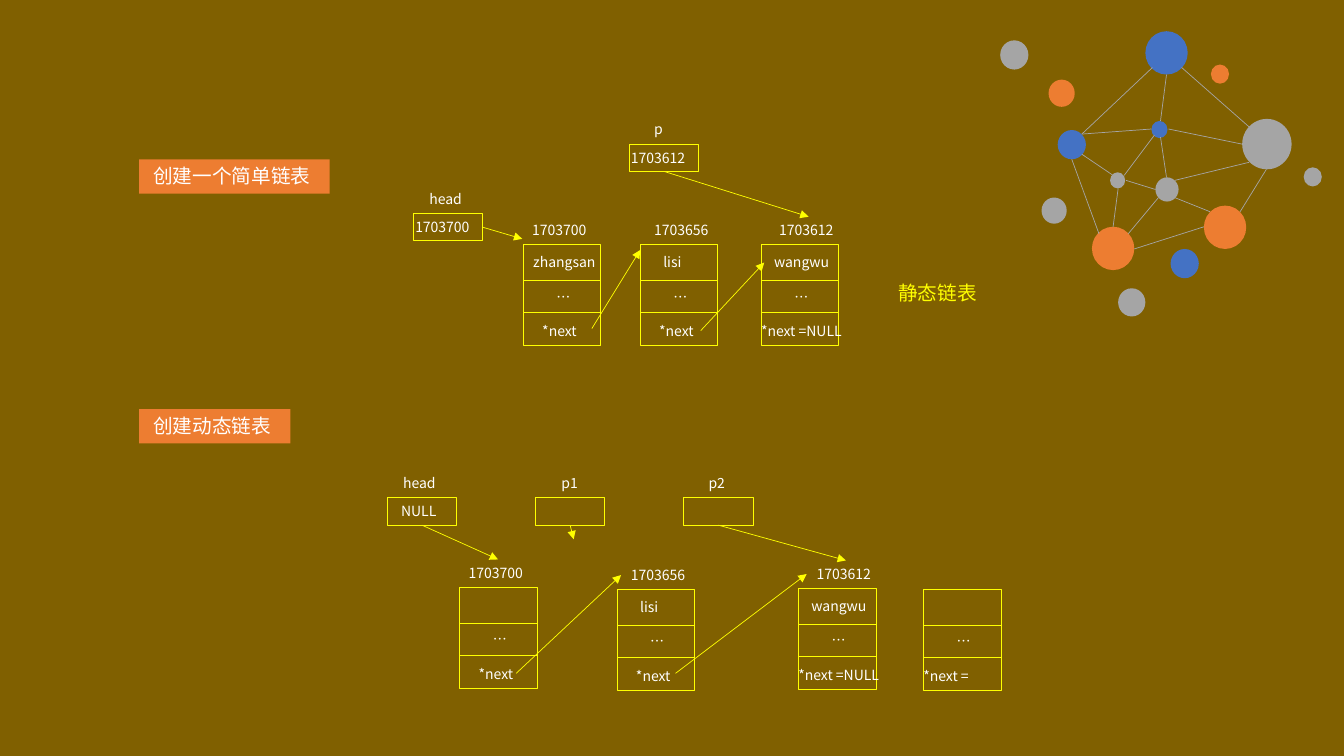
from pptx import Presentation
from pptx.dml.color import RGBColor
from pptx.enum.shapes import MSO_CONNECTOR, MSO_SHAPE
from pptx.enum.text import MSO_ANCHOR, MSO_AUTO_SIZE, PP_ALIGN
from pptx.oxml.ns import qn
from pptx.util import Inches, Pt
from lxml import etree

STRAIGHT = MSO_CONNECTOR.STRAIGHT
RECTANGLE, OVAL = MSO_SHAPE.RECTANGLE, MSO_SHAPE.OVAL
TOP, LEFT, BOTTOM, RIGHT = range(4)
FONT = "Noto Sans CJK SC"
WHITE, YELLOW, ORANGE, BLUE, GREY = "FFFFFF", "FFFF00", "ED7D31", "4472C4", "A5A5A5"
NODE_WIDTH, NODE_HEIGHT = 0.77, 1
POINTER_WIDTH, ROW = 0.69, 0.27

deck = Presentation()
deck.slide_width, deck.slide_height = Inches(13.33), Inches(7.5)
page = deck.slides.add_slide(deck.slide_layouts[5])
page.background.fill.solid()
page.background.fill.fore_color.rgb = RGBColor.from_string("806000")


def write(box, text, size=10, color=WHITE, inset=0.1):
    frame = box.text_frame
    frame.word_wrap = False
    frame.auto_size = MSO_AUTO_SIZE.NONE
    frame.vertical_anchor = MSO_ANCHOR.TOP
    frame.margin_left, frame.margin_right = Inches(inset), Inches(0.1)
    frame.margin_top = frame.margin_bottom = Inches(0.05)
    para = frame.paragraphs[0]
    para.alignment = PP_ALIGN.LEFT
    para.line_spacing = 1.0
    span = para.add_run()
    span.text = text
    span.font.name, span.font.size = FONT, Pt(size)
    span.font.color.rgb = RGBColor.from_string(color)
    east_asian = etree.SubElement(span.font._element, qn("a:ea"))
    east_asian.set("typeface", FONT)
    return box


def draw_line(shapes, start, end, color=YELLOW, arrow=False):
    line = shapes.add_connector(STRAIGHT, *map(Inches, start + end))
    line.line.color.rgb = RGBColor.from_string(color)
    line.line.width = Pt(0.5)
    if arrow:
        tail = etree.SubElement(line.line._get_or_add_ln(), qn("a:tailEnd"))
        tail.set("type", "triangle")
    etree.SubElement(line._element.spPr, qn("a:effectLst"))
    return line


# Section headings
second_heading = page.shapes.add_textbox(0, 0, 0, 0)
for box, text, top, width in [
    (page.shapes.title, "创建一个简单链表", 1.58, 1.89),
    (second_heading, "创建动态链表", 4.06, 1.5),
]:
    box.left, box.top = Inches(1.38), Inches(top)
    box.width, box.height = Inches(width), Inches(0.34)
    box.fill.solid()
    box.fill.fore_color.rgb = RGBColor.from_string(ORANGE)
    write(box, text, 14, inset=0.14)

caption = page.shapes.add_textbox(*map(Inches, (8.81, 2.74, 0.99, 0.34)))
write(caption, "静态链表", 14, YELLOW)

# Every label: shift from the left edge of its box, and width
LABELS = {
    "zhangsan": (0, 0.84), "lisi": (0.13, 0.38), "wangwu": (0.03, 0.76),
    "…": (0.23, 0.32), "*next": (0.09, 0.56),
    "*next =NULL": (-0.1, 1.06), "*next =": (-0.1, 0.7),
    "1703700": (-0.01, 0.78), "1703656": (0.04, 0.78), "1703612": (0.08, 0.78),
    "head": (0.06, 0.53), "p": (0.15, 0.29), "p1": (0.16, 0.37), "p2": (0.15, 0.37),
    "NULL": (0.04, 0.56),
}
POINTER_ADDRESS_SHIFT = -0.08

# Frames: left, top, width, height, then (text, drop from the top) pairs
frames = []
for left, top, name, address, link in [
    (5.19, 2.43, "zhangsan", "1703700", "*next"),
    (6.35, 2.43, "lisi", "1703656", "*next"),
    (7.55, 2.43, "wangwu", "1703612", "*next =NULL"),
    (4.56, 5.83, "", "1703700", "*next"),
    (6.12, 5.85, "lisi", "1703656", "*next"),
    (7.92, 5.84, "wangwu", "1703612", "*next =NULL"),
    (9.16, 5.85, "", "", "*next ="),
]:
    texts = [(address, -0.28), (name, 0.04), ("…", 0.38), (link, 0.72)]
    frames.append((left, top, NODE_WIDTH, NODE_HEIGHT, texts))
for left, top, name, value in [
    (4.1, 2.12, "head", "1703700"),
    (6.24, 1.43, "p", "1703612"),
    (3.84, 4.94, "head", "NULL"),
    (5.31, 4.94, "p1", ""),
    (6.78, 4.94, "p2", ""),
]:
    frames.append((left, top, POINTER_WIDTH, ROW, [(name, -0.28), (value, 0)]))

pointers, addresses, names = [], [], []
for left, top, width, height, texts in frames:
    frame_box = page.shapes.add_shape(RECTANGLE, *map(Inches, (left, top, width, height)))
    frame_box.shadow.inherit = False
    frame_box.fill.background()
    frame_box.line.color.rgb = RGBColor.from_string(YELLOW)
    frame_box.line.width = Pt(0.75)
    is_node = height == NODE_HEIGHT
    if is_node:
        for drop in (0.35, 0.67):
            draw_line(page.shapes, (left, top + drop), (left + width, top + drop))
    else:
        pointers.append(frame_box)
    for text, drop in texts:
        if not text:
            continue
        shift, label_width = LABELS[text]
        if not is_node and text.isdigit():
            shift = POINTER_ADDRESS_SHIFT
        place = (left + shift, top + drop, label_width, ROW)
        label = write(page.shapes.add_textbox(*map(Inches, place)), text)
        if is_node and text.isdigit():
            addresses.append(label)
        elif text == "wangwu":
            names.append(label)

# Arrows: start, end, and the boxes they are joined to
head, p, dynamic_head, p1, p2 = pointers
for start, end, source, target in [
    ((4.79, 2.26), (5.18, 2.37), (head, RIGHT), None),
    ((6.59, 1.7), (8.01, 2.15), (p, BOTTOM), (addresses[2], TOP)),
    ((5.87, 3.26), (6.35, 2.48), None, None),
    ((6.95, 3.28), (7.58, 2.6), None, (names[0], LEFT)),
    ((4.19, 5.21), (4.94, 5.55), (dynamic_head, BOTTOM), (addresses[3], TOP)),
    ((5.66, 5.21), (5.69, 5.35), (p1, BOTTOM), None),
    ((7.12, 5.21), (8.39, 5.56), (p2, BOTTOM), (addresses[5], TOP)),
    ((5.12, 6.68), (6.16, 5.71), None, (addresses[4], LEFT)),
    ((6.7, 6.68), (8, 5.69), None, (addresses[5], LEFT)),
]:
    arrow = draw_line(page.shapes, start, end, arrow=True)
    if source:
        arrow.begin_connect(*source)
    if target:
        arrow.end_connect(*target)

# Network ornament: dots as left, top, diameter
network = page.shapes.add_group_shape()
DOTS = {
    BLUE: [(11.36, 0.31, 0.42), (10.49, 1.29, 0.28), (11.42, 1.2, 0.16), (11.61, 2.47, 0.28)],
    ORANGE: [(10.83, 2.25, 0.42), (12.01, 0.64, 0.18), (11.94, 2.04, 0.42), (10.4, 0.79, 0.26)],
    GREY: [(11.46, 1.76, 0.23), (12.32, 1.18, 0.49), (11.01, 1.71, 0.15), (9.92, 0.4, 0.28),
           (11.09, 2.86, 0.27), (10.33, 1.96, 0.25), (12.93, 1.66, 0.18)],
}
for color, dots in DOTS.items():
    for left, top, size in dots:
        dot = network.shapes.add_shape(OVAL, *map(Inches, (left, top, size, size + 0.01)))
        dot.shadow.inherit = False
        dot.fill.solid()
        dot.fill.fore_color.rgb = RGBColor.from_string(color)
        dot.line.fill.background()

for start, end in [
    ((11.72, 0.67), (12.39, 1.26)), ((11.65, 1.79), (12.39, 1.61)),
    ((12.3, 2.1), (12.56, 1.68)), ((11.19, 2.32), (11.49, 1.96)),
    ((10.73, 1.33), (11.43, 0.67)), ((11.51, 1.2), (11.57, 0.74)),
    ((12.32, 1.43), (11.59, 1.28)), ((11.51, 1.36), (11.57, 1.76)),
    ((11.65, 1.96), (12, 2.1)), ((10.73, 1.33), (11.42, 1.28)),
    ((10.63, 1.58), (10.9, 2.32)), ((10.73, 1.53), (11.04, 1.74)),
    ((11.15, 1.74), (11.45, 1.34)), ((11.17, 1.79), (11.46, 1.88)),
    ((11.04, 2.25), (11.09, 1.87)), ((11.25, 2.47), (11.94, 2.25)),
]:
    draw_line(network.shapes, start, end, GREY)

deck.save("out.pptx")
